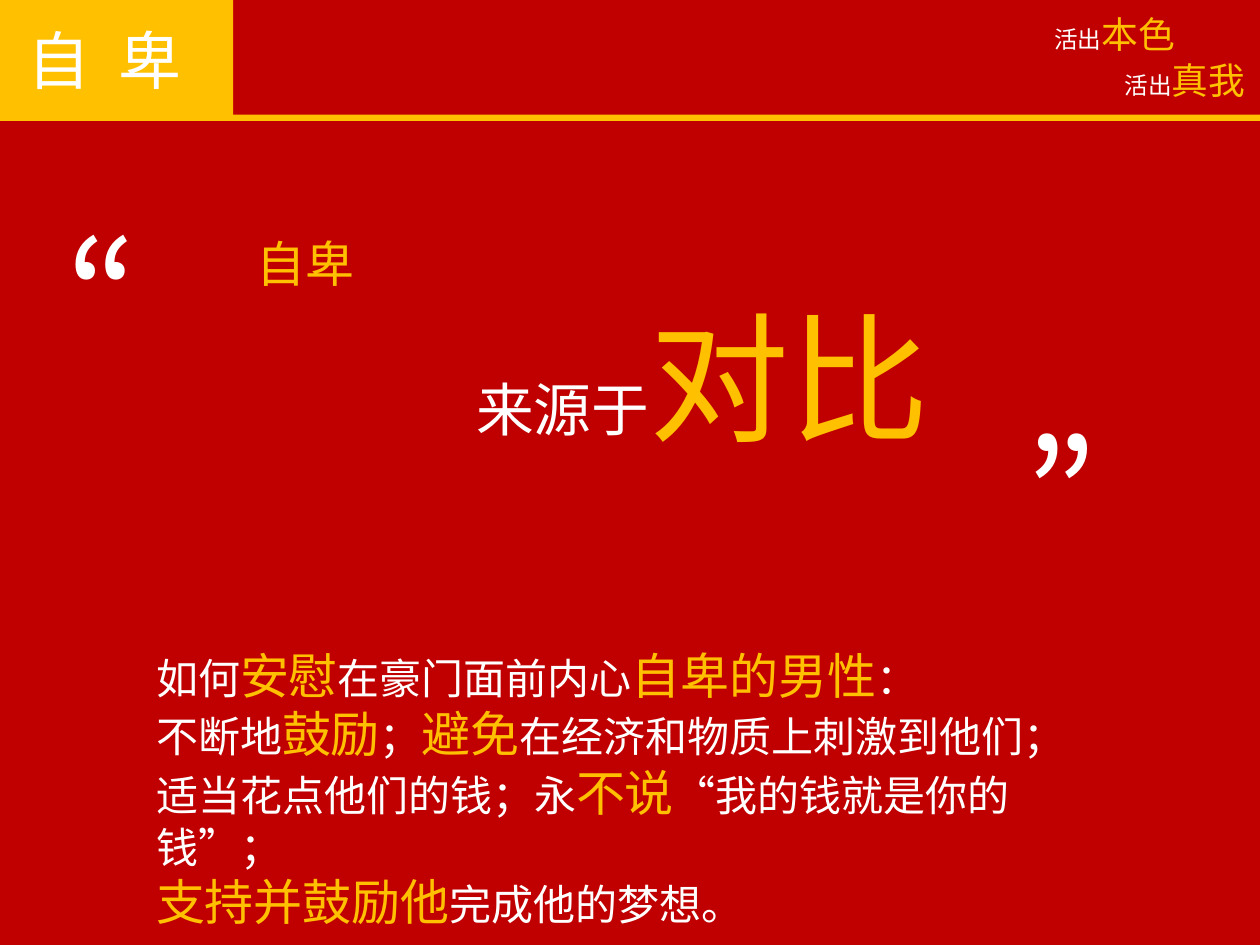
import pptx
import pptx.dml.color
import pptx.enum.shapes
import pptx.oxml.ns
import pptx.util
from lxml import etree

Inches = pptx.util.Inches
Pt = pptx.util.Pt
qn = pptx.oxml.ns.qn

COLORS = {"red": "C00000", "gold": "FFC000", "white": "FFFFFF"}
CJK_FONT = "Noto Sans CJK JP"
BODY_FONT = "Courier New"


def rgb(name):
    return pptx.dml.color.RGBColor.from_string(COLORS[name])


def indent(paragraph, left):
    paragraph._p.get_or_add_pPr().set("marL", str(Inches(left)))


def add_tab_stop(paragraph, position):
    stops = etree.SubElement(paragraph._p.get_or_add_pPr(), qn("a:tabLst"))
    etree.SubElement(stops, qn("a:tab"), pos=str(Inches(position)), algn="l")


def add_text(slide, box, lines, font=CJK_FONT, wrap=True):
    """Place lines, each a list of (text, size, color) runs; return the paragraphs."""
    frame = slide.shapes.add_textbox(*map(Inches, box)).text_frame
    frame.word_wrap = wrap
    for number, runs in enumerate(lines):
        paragraph = frame.add_paragraph() if number else frame.paragraphs[0]
        for text, size, color in runs:
            run = paragraph.add_run()
            run.text = text
            run.font.size = Pt(size)
            run.font.color.rgb = rgb(color)
            run.font.name = font
            etree.SubElement(run._r.get_or_add_rPr(), qn("a:ea"), typeface=CJK_FONT)
    return frame.paragraphs


def add_bar(slide, box):
    bar = slide.shapes.add_shape(
        pptx.enum.shapes.MSO_SHAPE.RECTANGLE, *map(Inches, box))
    bar.shadow.inherit = False
    bar.fill.solid()
    bar.fill.fore_color.rgb = rgb("gold")
    bar.line.fill.background()


def add_header(slide, left, top, width, height):
    rule = 0.05
    add_bar(slide, (left, top + height - rule, width, rule))
    add_bar(slide, (left, top, 1.85, height - 0.04))
    title = add_text(slide, (left + 0.12, top + 0.12, 1.61, 0.71),
                     [[("自\t卑", 36, "white")]])
    add_tab_stop(title[0], 0.72)


def add_slogan(slide, left, top, width, height):
    line_width, line_height = 1.17, 0.45
    placed = (("本色", left, top),
              ("真我", left + width - line_width, top + height - line_height))
    for keyword, x, y in placed:
        add_text(slide, (x, y, line_width, line_height),
                 [[("活出", 13.5, "white"), (keyword, 21, "gold")]], wrap=False)


def add_quotation(slide, left, top, width, height):
    paragraphs = add_text(slide, (left + 1.51, top + 0.25, 7.27, 2.22), [
        [("自卑", 28, "gold")],
        [("来源于", 33, "white"), ("对比", 80, "gold")],
    ])
    indent(paragraphs[1], 1.74)
    mark_width, mark_height = 1.41, 1.55
    placed = (("“", left, top),
              ("”", left + width - mark_width, top + height - mark_height))
    for mark, x, y in placed:
        add_text(slide, (x, y, mark_width, mark_height), [[(mark, 86.2, "white")]])


def add_advice(slide, left, top, width, height):
    def plain(text):
        return text, 24, "white"

    def key(text):
        return text, 28, "gold"

    add_text(slide, (left, top, width, height), [
        [plain("如何"), key("安慰"), plain("在豪门面前内心"), key("自卑的男性"), plain("：")],
        [plain("不断地"), key("鼓励"), plain("；"), key("避免"),
         plain("在经济和物质上刺激到他们；")],
        [plain("适当花点他们的钱；永"), key("不说"), plain("“我的钱就是你的钱”；")],
        [key("支持并鼓励他"), plain("完成他的梦想。")],
    ], font=BODY_FONT)


def main():
    deck = pptx.Presentation()
    deck.slide_width, deck.slide_height = Inches(10), Inches(7.5)
    slide = deck.slides.add_slide(deck.slide_layouts[6])
    slide.background.fill.solid()
    slide.background.fill.fore_color.rgb = rgb("red")
    add_header(slide, 0, 0, 10, 0.96)
    add_slogan(slide, 8.27, 0.04, 1.73, 0.82)
    add_quotation(slide, 0.43, 1.55, 9.02, 3.13)
    add_advice(slide, 1.14, 5.07, 7.58, 1.99)
    deck.save("out.pptx")


if __name__ == "__main__":
    main()
